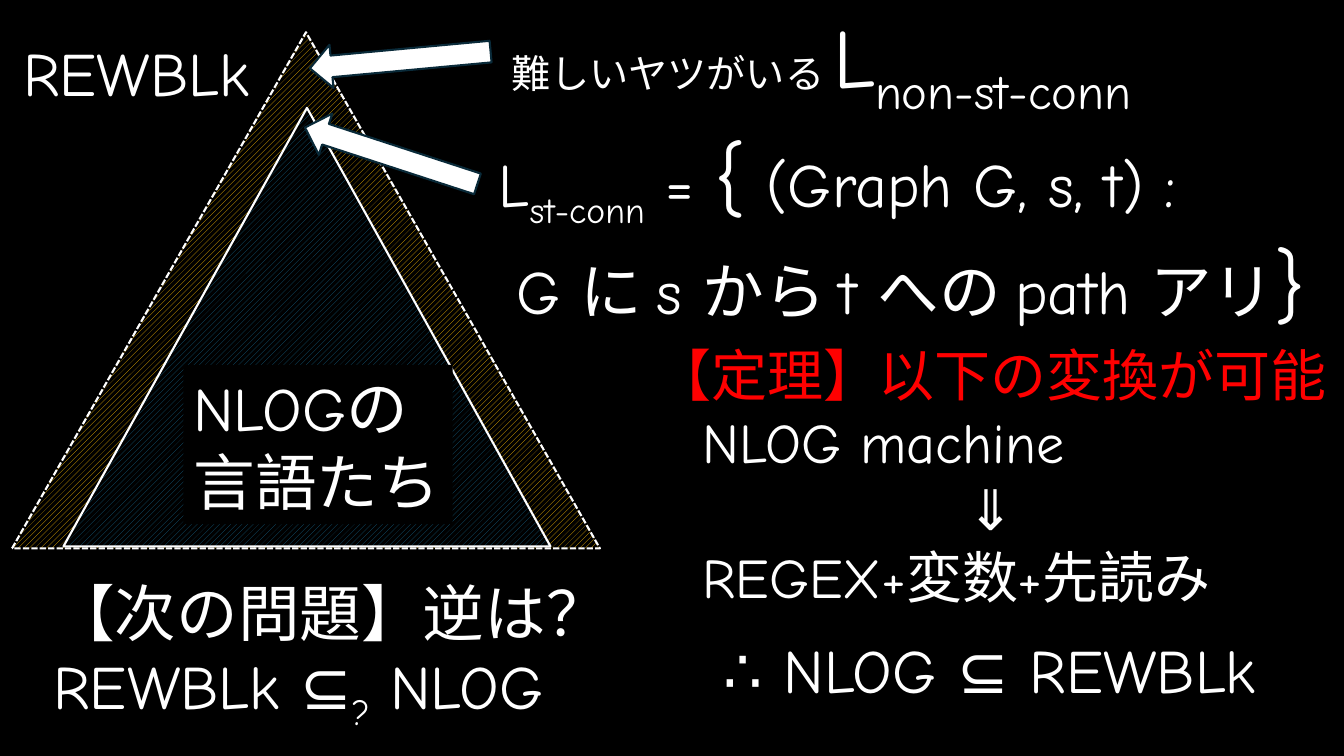
from pptx import Presentation
from pptx.dml.color import RGBColor
from pptx.enum.dml import MSO_LINE, MSO_PATTERN
from pptx.enum.shapes import MSO_SHAPE
from pptx.enum.text import MSO_AUTO_SIZE
from pptx.util import Inches, Pt

TRIANGLE = MSO_SHAPE.FLOWCHART_EXTRACT
ARROW = MSO_SHAPE.LEFT_ARROW
STRIPES = MSO_PATTERN.WIDE_UPWARD_DIAGONAL
DASHED = MSO_LINE.SQUARE_DOT
SOLID = MSO_LINE.SOLID
GROW = MSO_AUTO_SIZE.SHAPE_TO_FIT_TEXT

FONT = "Comic Neue"
WHITE, BLACK, RED = "FFFFFF", "000000", "FF0000"
ORANGE, BLUE, NAVY = "FFC000", "156082", "092A39"
SUBSCRIPT = -25


def color(value):
    return RGBColor.from_string(value)


def add_outlined_shape(kind, box, line_color):
    shape = slide.shapes.add_shape(kind, *map(Inches, box))
    shape.shadow.inherit = False
    shape.line.color.rgb = color(line_color)
    shape.line.width = Pt(1.5)
    return shape


presentation = Presentation()
presentation.slide_width = Inches(13.33)
presentation.slide_height = Inches(7.5)
slide = presentation.slides.add_slide(presentation.slide_layouts[6])
slide.background.fill.solid()
slide.background.fill.fore_color.rgb = color(BLACK)

# Nested language classes: (box, stripe colour, outline dash)
triangles = [
    ((0.12, 0.32, 5.83, 5.12), ORANGE, DASHED),
    ((0.63, 1.07, 4.83, 4.35), BLUE, SOLID),
]
for box, stripe_color, dash in triangles:
    triangle = add_outlined_shape(TRIANGLE, box, WHITE)
    triangle.line.dash_style = dash
    triangle.fill.patterned()
    triangle.fill.pattern = STRIPES
    triangle.fill.fore_color.rgb = color(stripe_color)
    triangle.fill.back_color.rgb = color(BLACK)

# Arrows pointing at the tips of the triangles: (left, top, rotation)
for left, top, rotation in [(2.98, 1.33, 18.1), (3.07, 0.38, 354.7)]:
    arrow = add_outlined_shape(ARROW, (left, top, 1.8, 0.43), NAVY)
    arrow.rotation = rotation
    arrow.fill.solid()
    arrow.fill.fore_color.rgb = color(WHITE)

# Texts: box, wrap, fill, paragraphs of (first-line indent, runs);
# each run is (text, size, baseline percent, colour)
texts = [
    ((4.85, 1.18, 8.63, 2.12), True, None, [
        (0, [("L", 44, 0, WHITE), ("st-conn", 44, SUBSCRIPT, WHITE),
             (" = ", 44, 0, WHITE), ("{", 60, 0, WHITE),
             (" (Graph G, s, t) :", 44, 0, WHITE)]),
        (0.17, [("G に s から t への path アリ", 44, 0, WHITE),
                ("}", 60, 0, WHITE)]),
    ]),
    ((6.4, 3.33, 6.93, 2.79), False, None, [
        (0, [("【定理】以下の変換が可能", 40, 0, RED)]),
        (0.47, [("NLOG machine", 40, 0, WHITE)]),
        (3.1, [("⇓", 40, 0, WHITE)]),
        (0.47, [("REGEX+変数+先読み", 40, 0, WHITE)]),
    ]),
    ((1.82, 3.62, 2.67, 1.58), False, BLACK, [
        (0, [("NLOGの", 44, 0, WHITE)]),
        (0, [("言語たち", 44, 0, WHITE)]),
    ]),
    ((4.97, 0, 7.51, 1.11), True, None, [
        (0, [("難しいヤツがいる ", 28, 0, WHITE), ("L", 60, 0, WHITE),
             ("non-st-conn", 60, SUBSCRIPT, WHITE)]),
    ]),
    ((7.08, 6.22, 6.25, 0.84), True, None, [
        (0, [("∴ NLOG ⊆ REWBLk", 44, 0, WHITE)]),
    ]),
    ((0.13, 0.3, 2.68, 0.84), False, None, [
        (0, [("REWBLk", 44, 0, WHITE)]),
    ]),
    ((0.43, 5.65, 5.76, 1.58), False, None, [
        (0, [("【次の問題】逆は？", 44, 0, WHITE)]),
        (0, [("REWBLk ⊆", 44, 0, WHITE), ("?", 44, SUBSCRIPT, WHITE),
             (" NLOG", 44, 0, WHITE)]),
    ]),
]
for box, wrap, fill_color, paragraphs in texts:
    text_box = slide.shapes.add_textbox(*map(Inches, box))
    if fill_color:
        text_box.fill.solid()
        text_box.fill.fore_color.rgb = color(fill_color)
    frame = text_box.text_frame
    frame.word_wrap = wrap
    frame.auto_size = GROW
    for index, (indent, runs) in enumerate(paragraphs):
        paragraph = frame.add_paragraph() if index else frame.paragraphs[0]
        if indent:
            paragraph._p.get_or_add_pPr().set("indent", str(Inches(indent)))
        for text, size, baseline, text_color in runs:
            run = paragraph.add_run()
            run.text = text
            for name, value in {"name": FONT, "size": Pt(size)}.items():
                setattr(run.font, name, value)
            run.font.color.rgb = color(text_color)
            if baseline:
                run._r.get_or_add_rPr().set("baseline", str(baseline * 1000))

presentation.save("out.pptx")
